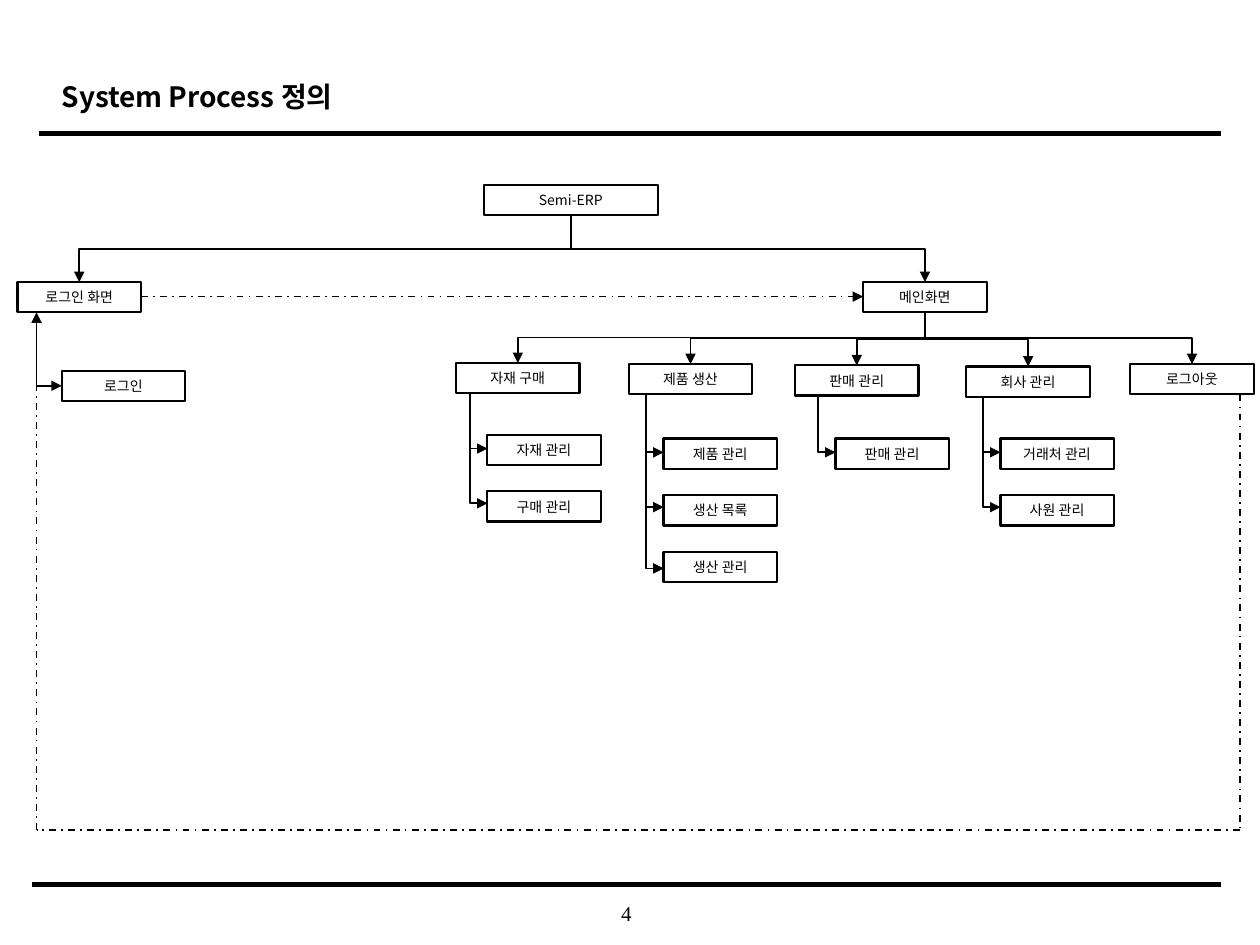
from lxml import etree
from pptx import Presentation
from pptx import util as u
from pptx.dml.color import RGBColor
from pptx.enum import dml, shapes, text
from pptx.oxml import ns

COLORS = {"ink": "000000", "paper": "FFFFFF"}
SANS, SERIF = "Noto Sans CJK KR", "Times New Roman"
BOX_HEIGHT = 17.3
SCREEN_WIDTH, ITEM_WIDTH = 70.6, 64.8
ITEM_STEP = 32.4
TRUNK_GAP = 10
ARROW_OFFSETS = (7.9, 6.8, 9.4)  # arrow height below the top of each item


class Sheet:
    """Style and drawing methods for one slide; all lengths are in points."""

    def __init__(self, deck):
        self.page = deck.slides.add_slide(deck.slide_layouts[5])
        self.page.background.fill.solid()
        self.page.background.fill.fore_color.rgb = self.color("paper")

    def color(self, name):
        return RGBColor.from_string(COLORS[name])

    def set_text(self, shape, words, size, font=SANS, bold=False,
                 align=text.PP_ALIGN.CENTER, inset=0):
        frame = shape.text_frame
        frame.word_wrap = True
        frame.auto_size = text.MSO_AUTO_SIZE.NONE
        frame.vertical_anchor = text.MSO_ANCHOR.MIDDLE
        frame.margin_left = frame.margin_right = u.Pt(inset)
        frame.margin_top = frame.margin_bottom = 0
        para = frame.paragraphs[0]
        para.text = words
        para.alignment = align
        para.font.size, para.font.bold = u.Pt(size), bold
        para.font.color.rgb = self.color("ink")
        para.font.name = font
        etree.SubElement(para.font._rPr, ns.qn("a:ea"), typeface=font)
        return para

    def title(self, words, left, top, width, height):
        holder = self.page.shapes.title
        holder.left, holder.top = u.Pt(left), u.Pt(top)
        holder.width, holder.height = u.Pt(width), u.Pt(height)
        para = self.set_text(holder, words, 16, bold=True,
                             align=text.PP_ALIGN.LEFT, inset=7.2)
        para.line_spacing = 1.2

    def label(self, words, left, top, width, height):
        box = self.page.shapes.add_textbox(*map(u.Pt, (left, top, width, height)))
        self.set_text(box, words, 12, font=SERIF)

    def box(self, words, left, top, width=SCREEN_WIDTH):
        """Draw an outlined box; return its bottom centre and top centre."""
        box = self.page.shapes.add_shape(
            shapes.MSO_SHAPE.RECTANGLE, *map(u.Pt, (left, top, width, BOX_HEIGHT)))
        box.shadow.inherit = False
        box.fill.background()
        box.line.color.rgb = self.color("ink")
        box.line.width = u.Pt(1.25)
        self.set_text(box, words, 8)
        middle = left + width / 2
        return (middle, top + BOX_HEIGHT), (middle, top)

    def style_line(self, line, width, dashed, arrow):
        line.line.color.rgb = self.color("ink")
        line.line.width = u.Pt(width)
        if dashed:
            line.line.dash_style = dml.MSO_LINE.DASH_DOT
        if arrow:
            etree.SubElement(line.line._get_or_add_ln(), ns.qn("a:tailEnd"),
                             type="triangle")
        etree.SubElement(line._element.spPr, ns.qn("a:effectLst"))

    def line(self, start, end, width=1, dashed=False, arrow=False):
        line = self.page.shapes.add_connector(
            shapes.MSO_CONNECTOR.STRAIGHT, *map(u.Pt, (*start, *end)))
        self.style_line(line, width, dashed, arrow)

    def elbow(self, start, end, bends=2):
        """Arrow that leaves downwards: a turned connector about the same centre."""
        across, down = abs(end[0] - start[0]), end[1] - start[1]
        left = (start[0] + end[0] - down) / 2
        top = (start[1] + end[1] - across) / 2
        line = self.page.shapes.add_connector(
            shapes.MSO_CONNECTOR.ELBOW,
            *map(u.Pt, (left, top, left + down, top + across)))
        properties = line._element.spPr
        properties.prstGeom.set("prst", f"bentConnector{bends + 1}")
        if end[0] > start[0]:
            properties.xfrm.set("rot", str(270 * 60000))
            properties.xfrm.set("flipH", "1")
        else:
            properties.xfrm.set("rot", str(90 * 60000))
        self.style_line(line, 1, False, True)


# Module: name, left, top, left of its items, top of first item, items
MODULES = [
    ("자재 구매", 260.6, 207.4, 278.5, 248.4, ["자재 관리", "구매 관리"]),
    ("제품 생산", 359.3, 208.1, 379.2, 250.6, ["제품 관리", "생산 목록", "생산 관리"]),
    ("판매 관리", 454.3, 208.8, 477.4, 250.6, ["판매 관리"]),
    ("회사 관리", 552.2, 209.5, 571.7, 250.6, ["거래처 관리", "사원 관리"]),
    ("로그아웃", 645.8, 208.1, 0, 0, []),
]


def main():
    deck = Presentation()
    deck.slide_width, deck.slide_height = u.Pt(720), u.Pt(540)
    sheet = Sheet(deck)

    # Title, rules and page number
    sheet.title("System Process 정의", 28, 35.3, 543.6, 36)
    sheet.line((22.3, 76.3), (697.7, 76.3), 2.5)
    sheet.line((18, 505.4), (697.7, 505.4), 3)
    sheet.label("4", 283, 509.8, 149.8, 23.8)

    # Dashed way from logout back to the login screen
    back_left, back_right, back_bottom = 20.9, 708.5, 474.3
    sheet.line((back_right, 225.4), (back_right, back_bottom), dashed=True)
    sheet.line((back_right, back_bottom), (back_left, back_bottom), dashed=True)
    sheet.line((back_left, back_bottom), (back_left, 178.5), dashed=True, arrow=True)

    # Root and the two screens
    root_bottom, _ = sheet.box("Semi-ERP", 276.5, 105.8, 99.4)
    _, login_top = sheet.box("로그인 화면", 10, 161.2)
    main_bottom, main_top = sheet.box("메인화면", 493.2, 161.2)
    sheet.elbow(root_bottom, login_top)
    sheet.elbow(root_bottom, main_top)
    sheet.line((80.6, 169.5), (493.2, 169.5), dashed=True, arrow=True)

    # Login step
    sheet.box("로그인", 35.3, 211.9)
    sheet.elbow((back_left, 178.5), (35.3, 220.5), bends=1)

    # Modules of the main screen and their items
    for name, left, top, item_left, first_top, items in MODULES:
        bottom_point, module_top = sheet.box(name, left, top)
        sheet.elbow(main_bottom, module_top)
        for row, (item, offset) in enumerate(zip(items, ARROW_OFFSETS)):
            item_top = first_top + row * ITEM_STEP
            sheet.box(item, item_left, item_top, ITEM_WIDTH)
            sheet.elbow((item_left - TRUNK_GAP, bottom_point[1]),
                        (item_left, item_top + offset), bends=1)

    deck.save("out.pptx")


if __name__ == "__main__":
    main()
